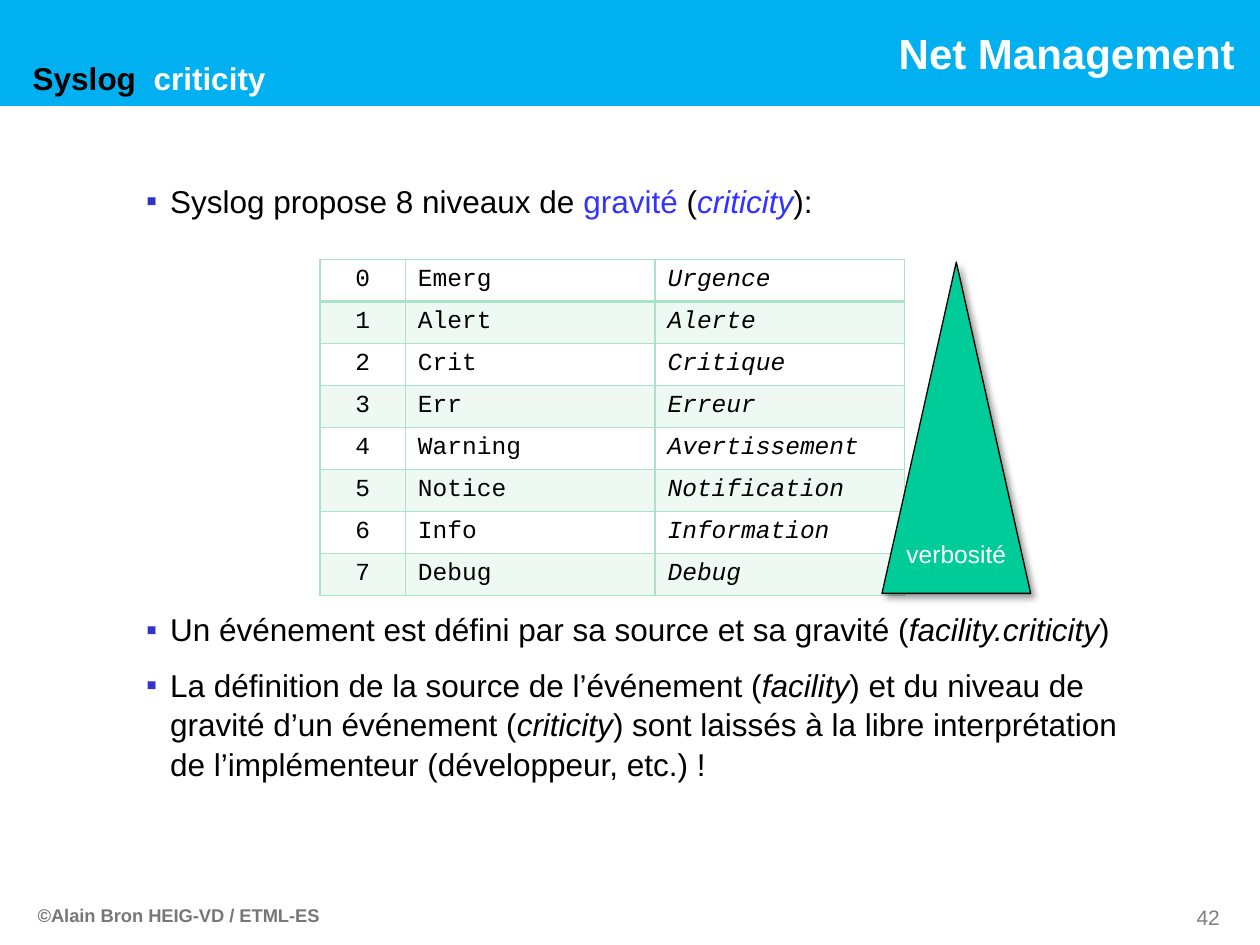
from lxml import etree
from pptx import Presentation
from pptx import util as u
from pptx.dml.color import RGBColor
from pptx.enum import shapes as sh, text as tx
from pptx.oxml import ns

BLACK = RGBColor(0, 0, 0)
WHITE = RGBColor(255, 255, 255)
SKY = RGBColor(0x00, 0xB0, 0xF0)
BLUE = RGBColor(0x33, 0x33, 0xFF)
MARK = RGBColor(0x33, 0x33, 0xCC)
MINT = RGBColor(0xAA, 0xE2, 0xCA)
GREEN = RGBColor(0x00, 0xCC, 0x99)
GREY = RGBColor(0x77, 0x77, 0x77)
PALE = RGBColor(0x80, 0x80, 0x80)
WIDE, HIGH = 10, 7.5
LEVELS = [
    ("Emerg", "Urgence"), ("Alert", "Alerte"), ("Crit", "Critique"),
    ("Err", "Erreur"), ("Warning", "Avertissement"),
    ("Notice", "Notification"), ("Info", "Information"), ("Debug", "Debug"),
]
POINTS = [
    [("Syslog propose 8 niveaux de ",), ("gravité", BLUE), (" (",),
     ("criticity", BLUE, True), ("):",)],
    [("Un événement est défini par sa source et sa gravité (",),
     ("facility.criticity", BLACK, True), (")",)],
    [("La définition de la source de l’événement (",),
     ("facility", BLACK, True),
     (") et du niveau de gravité d’un événement (",),
     ("criticity", BLACK, True),
     (") sont laissés à la libre interprétation de l’implémenteur"
      " (développeur, etc.) !",)],
]
GAPS = [0, 222.5, 9.4]


def node(top, tag, **atts):
    return etree.SubElement(top, ns.qn(tag), atts)


def span(box):
    return [u.Inches(v) for v in box]


def move(shape, box):
    shape.left, shape.top, shape.width, shape.height = span(box)


def run(para, words, size, color=BLACK, slant=False, bold=False, face="Arial"):
    part = para.add_run()
    part.text = words
    font = part.font
    font.name, font.size = face, u.Pt(size)
    font.bold, font.italic = bold, slant
    font.color.rgb = color


def frame(shape, anchor=tx.MSO_ANCHOR.TOP, wrap=True):
    area = shape.text_frame
    area.auto_size = tx.MSO_AUTO_SIZE.NONE
    area.word_wrap = wrap
    area.vertical_anchor = anchor
    return area


def header(slide, box):
    x, y, w, h = box
    band = slide.shapes.add_shape(sh.MSO_SHAPE.RECTANGLE, *span(box))
    band.shadow.inherit = False
    band.fill.solid()
    band.fill.fore_color.rgb = SKY
    band.line.fill.background()
    slide.shapes._spTree.insert(2, band._element)
    area = frame(band, tx.MSO_ANCHOR.MIDDLE, False)
    area.margin_right = u.Inches(0.2)
    para = area.paragraphs[0]
    para.alignment = tx.PP_ALIGN.RIGHT
    run(para, "Net Management", 24, WHITE, bold=True)

    title = slide.shapes.title
    move(title, (x + 0.16, y + h / 2, w * 0.85, 0.4))
    para = frame(title, tx.MSO_ANCHOR.MIDDLE).paragraphs[0]
    para.alignment = tx.PP_ALIGN.LEFT
    run(para, "Syslog  ", 18, bold=True)
    run(para, "criticity", 18, WHITE, bold=True)


def body(slide, box):
    shape = slide.placeholders[1]
    move(shape, box)
    area = frame(shape)
    for i, (parts, gap) in enumerate(zip(POINTS, GAPS)):
        para = area.paragraphs[0] if i == 0 else area.add_paragraph()
        props = para._p.get_or_add_pPr()
        props.set("marL", str(u.Inches(0.19)))
        props.set("indent", str(u.Inches(-0.19)))
        node(node(props, "a:buClr"), "a:srgbClr", val=str(MARK))
        node(props, "a:buFont", typeface="Arial")
        node(props, "a:buChar", char="▪")
        para.space_before = u.Pt(gap)
        para.line_spacing = 1.04
        for words, *look in parts:
            run(para, words, 18, *look)


def edge(cell, first):
    props = cell._tc.get_or_add_tcPr()
    for side in "LRTB":
        width = u.Pt(2 if first and side == "B" else 1)
        line = node(props, f"a:ln{side}", w=str(width))
        node(node(line, "a:solidFill"), "a:srgbClr", val=str(MINT))


def tint(cell, shade):
    if not shade:
        cell.fill.background()
        return
    cell.fill.solid()
    cell.fill.fore_color.rgb = MINT
    color = cell._tc.tcPr.find(ns.qn("a:solidFill"))[0]
    node(color, "a:alpha", val="20000")


def grid(slide, box):
    w, h = box[2:]
    table = slide.shapes.add_table(len(LEVELS), 3, *span(box)).table
    table.first_row = table.horz_banding = False
    for col, share in zip(table.columns, (0.146, 0.427, 0.427)):
        col.width = u.Inches(w * share)
    for r, names in enumerate(LEVELS):
        table.rows[r].height = u.Inches(h / len(LEVELS))
        for c, words in enumerate((str(r), *names)):
            cell = table.cell(r, c)
            edge(cell, r == 0)
            tint(cell, r % 2)
            para = cell.text_frame.paragraphs[0]
            if c == 0:
                para.alignment = tx.PP_ALIGN.CENTER
            run(para, words, 14, slant=c == 2, face="Courier New")


def cone(slide, box):
    shape = slide.shapes.add_shape(sh.MSO_SHAPE.ISOSCELES_TRIANGLE, *span(box))
    shape.fill.solid()
    shape.fill.fore_color.rgb = GREEN
    shape.line.color.rgb = BLACK
    shape.line.width = u.Pt(0.75)
    shape.shadow.inherit = False
    glow = shape._element.spPr.find(ns.qn("a:effectLst"))
    cast = node(glow, "a:outerShdw", blurRad=str(u.Pt(4)), dist=str(u.Pt(3)),
                dir="2700000", algn="tl", rotWithShape="0")
    node(node(cast, "a:srgbClr", val=str(BLACK)), "a:alpha", val="40000")
    area = frame(shape, tx.MSO_ANCHOR.BOTTOM, False)
    area.margin_bottom = u.Inches(0.2)
    para = area.paragraphs[0]
    para.alignment = tx.PP_ALIGN.CENTER
    run(para, "verbosité", 14, WHITE)


def footer(slide, box):
    x, y, w, h = box
    left = slide.shapes.add_textbox(*span((x, y, w / 3, h)))
    run(frame(left).paragraphs[0], "©Alain Bron HEIG-VD / ETML-ES", 10.5,
        GREY, bold=True)
    right = slide.shapes.add_textbox(*span((x + w * 0.9, y, w * 0.1, h)))
    para = frame(right).paragraphs[0]
    para.alignment = tx.PP_ALIGN.RIGHT
    run(para, "42", 12, PALE)


def main():
    deck = Presentation()
    deck.slide_width, deck.slide_height = u.Inches(WIDE), u.Inches(HIGH)
    slide = deck.slides.add_slide(deck.slide_layouts[1])
    header(slide, (0, 0, WIDE, 0.84))
    body(slide, (1.06, 1.38, 8.06, 5.55))
    grid(slide, (2.54, 2.06, 4.64, 2.67))
    cone(slide, (7, 2.08, 1.18, 2.63))
    footer(slide, (0.2, 7.13, 9.58, 0.3))
    deck.save("out.pptx")


if __name__ == "__main__":
    main()
